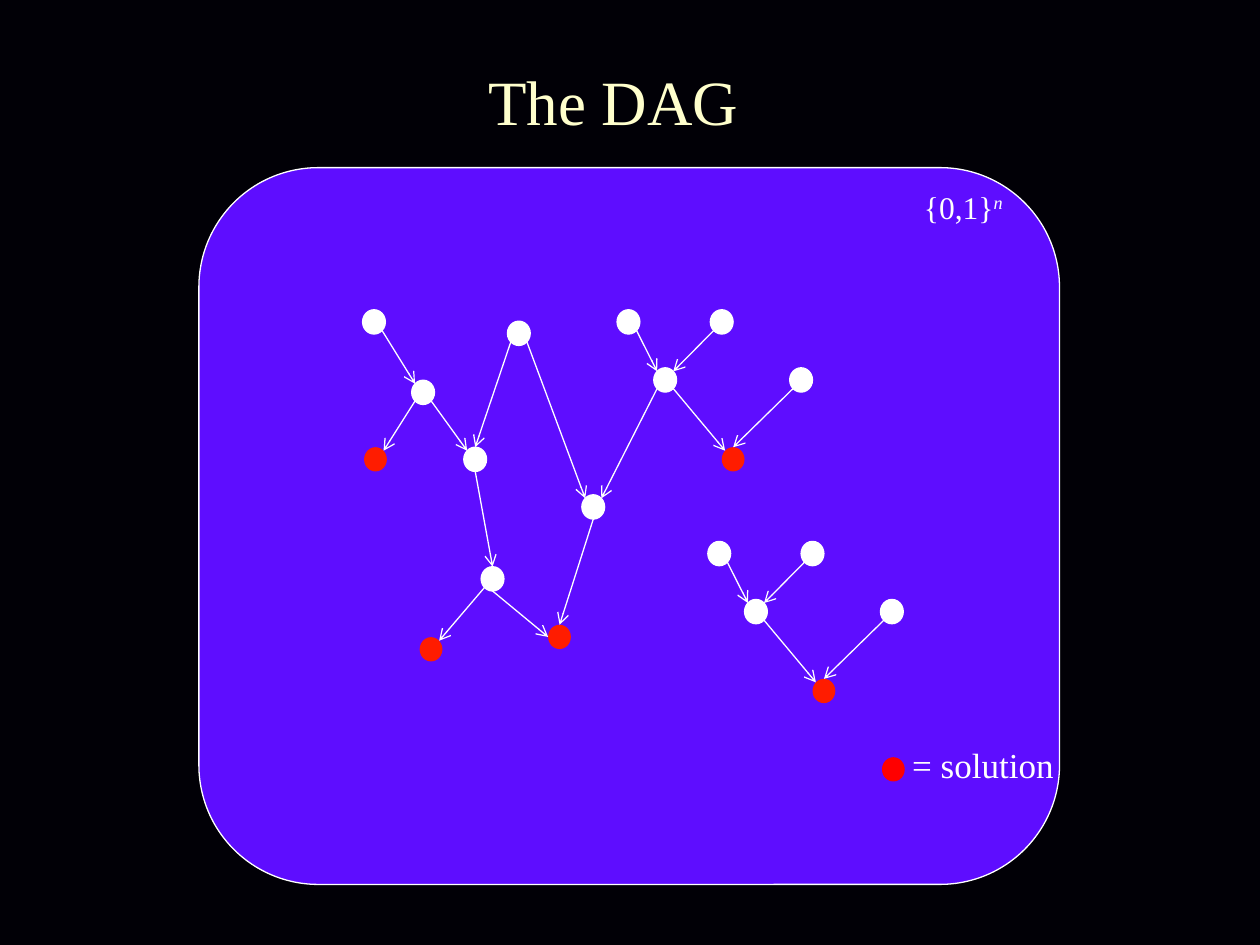
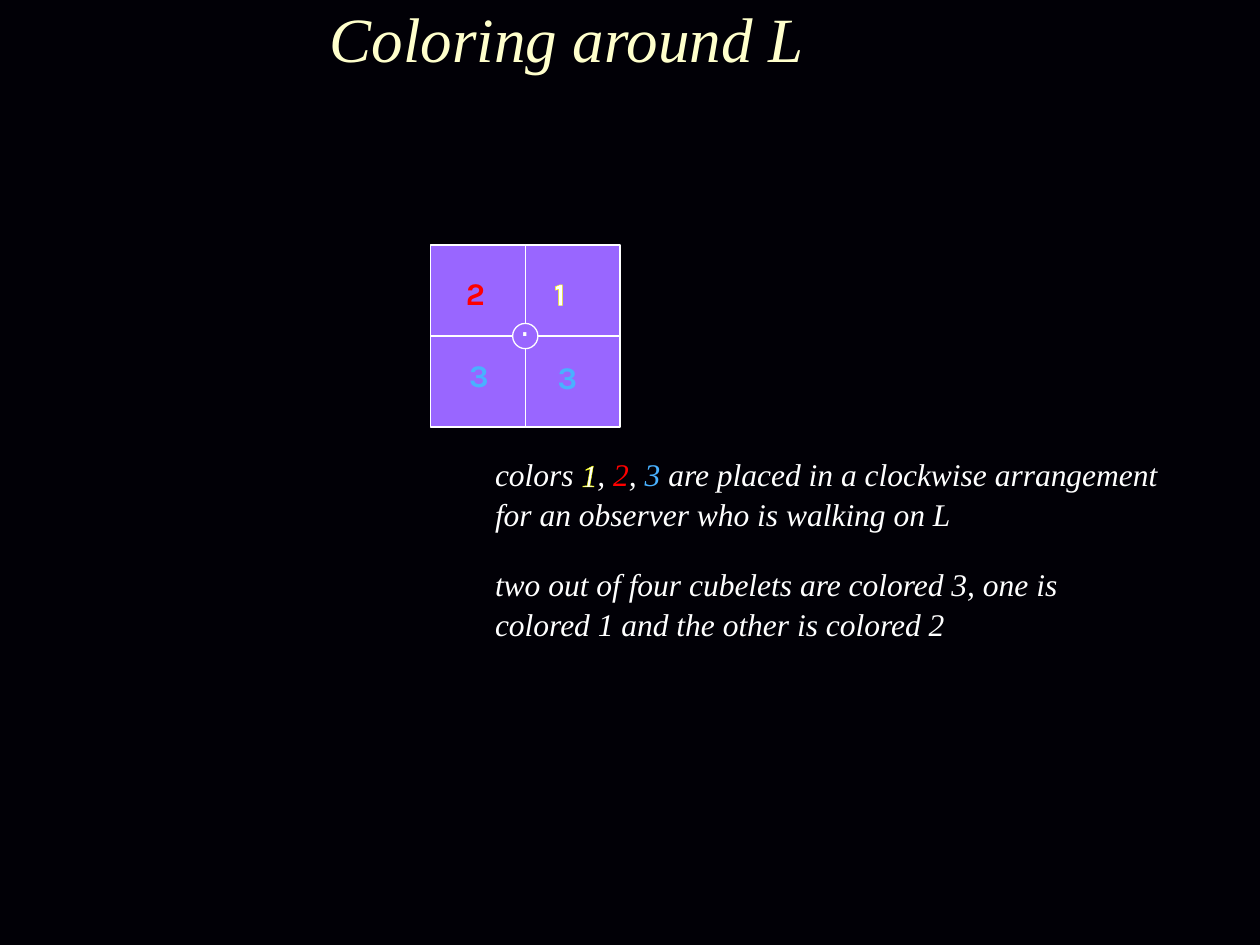
from lxml.etree import SubElement
from pptx import Presentation
from pptx.dml.color import RGBColor
from pptx.enum.shapes import MSO_CONNECTOR, MSO_SHAPE
from pptx.enum.text import MSO_ANCHOR, MSO_AUTO_SIZE, PP_ALIGN
from pptx.oxml import parse_xml
from pptx.oxml.ns import nsdecls, qn
from pptx.util import Cm, Pt

SERIF, SANS = "Times New Roman", "Karla"
BACKGROUND, CREAM, WHITE = "010006", "FFFFCC", "FFFFFF"
PANEL, SOLUTION, LEGEND_RED = "5E0DFF", "FF1C00", "FF0000"
CUBELET, RED, BLUE, GLOW = "9966FF", "FF0000", "49B1FF", "F9FF00"

NODE_W, NODE_H = 0.46, 0.49
DIAGONAL = 0.707
SITES = {"N": (0, -1), "S": (0, 1), "W": (-1, 0),
         "NW": (-DIAGONAL, -DIAGONAL), "NE": (DIAGONAL, -DIAGONAL),
         "SW": (-DIAGONAL, DIAGONAL), "SE": (DIAGONAL, DIAGONAL)}

# Node centres in cm from the origin of each graph; edges join named sites.
MAIN_NODES = {"a": (3.53, 3.11), "b": (4.52, 4.53), "c": (5.57, 5.88),
              "d": (6.45, 3.34), "e": (3.56, 5.88), "j": (7.95, 6.84),
              "l": (7.27, 9.46), "m": (4.68, 9.71), "o": (5.92, 8.29)}
MAIN_EDGES = ["a SE b NW", "b SW e NE", "b SE c NW", "d SW c N", "d SE j NW",
              "c S o N", "o SW m NE", "o S l W", "j S l N", "h SW j NE"]
TREE_NODES = {"f": (0, 0), "g": (1.88, 0), "h": (0.74, 1.17),
              "i": (3.48, 1.17), "k": (2.11, 2.77)}
TREE_EDGES = ["f SE h NW", "g SW h NE", "h SE k NW", "i SW k N"]
SOLUTIONS = "eklm"


def rgb(color):
    return RGBColor.from_string(color)


def set_font(font, size, color, name=SERIF, bold=False, italic=False):
    font.name, font.size = name, Pt(size)
    font.bold, font.italic = bold, italic
    font.color.rgb = rgb(color)


def outline_text(r, color):
    ln = parse_xml(f'<a:ln {nsdecls("a")} w="9525"><a:solidFill>'
                   f'<a:srgbClr val="{color}"/></a:solidFill></a:ln>')
    r._r.get_or_add_rPr().insert(0, ln)


def add_box(shapes, kind, x, y, w, h, fill, line=WHITE):
    sp = shapes.add_shape(kind, Cm(x), Cm(y), Cm(w), Cm(h))
    sp.shadow.inherit = False
    sp.fill.solid()
    sp.fill.fore_color.rgb = rgb(fill)
    if line:
        sp.line.color.rgb = rgb(line)
        sp.line.width = Pt(0.75)
    else:
        sp.line.fill.background()
    return sp


def add_text(shapes, x, y, w, h, parts, size=18, color=WHITE, wrap=True, **style):
    """Add one paragraph made of the given strings and return it."""
    tf = shapes.add_textbox(Cm(x), Cm(y), Cm(w), Cm(h)).text_frame
    tf.word_wrap = wrap
    tf.auto_size = MSO_AUTO_SIZE.SHAPE_TO_FIT_TEXT
    p = tf.paragraphs[0]
    for part in parts:
        p.add_run().text = part
    set_font(p.font, size, color, **style)
    return p


def add_titled_slide(prs, title, x, y, w, italic=False):
    s = prs.slides.add_slide(prs.slide_layouts.get_by_name("Title Only"))
    sp = s.shapes.title
    sp.left, sp.top, sp.width, sp.height = Cm(x), Cm(y), Cm(w), Cm(3.18)
    tf = sp.text_frame
    tf.text = title
    tf.auto_size = MSO_AUTO_SIZE.NONE
    tf.vertical_anchor = MSO_ANCHOR.MIDDLE
    p = tf.paragraphs[0]
    p.alignment = PP_ALIGN.CENTER
    set_font(p.font, 36, CREAM, italic=italic)
    return s


def add_node(shapes, cx, cy, fill, line=None):
    add_box(shapes, MSO_SHAPE.OVAL, cx - NODE_W / 2, cy - NODE_H / 2,
            NODE_W, NODE_H, fill, line)


def add_arrow(shapes, start, end):
    cxn = shapes.add_connector(MSO_CONNECTOR.STRAIGHT,
                               *(Cm(v) for v in (*start, *end)))
    cxn.line.color.rgb = rgb(WHITE)
    cxn.line.width = Pt(0.75)
    SubElement(cxn.line._get_or_add_ln(), qn("a:tailEnd"), type="arrow")
    SubElement(cxn._element.spPr, qn("a:effectLst"))


def site(center, direction):
    dx, dy = SITES[direction]
    return center[0] + dx * NODE_W / 2, center[1] + dy * NODE_H / 2


def shifted(nodes, x, y):
    return {name: (x + cx, y + cy) for name, (cx, cy) in nodes.items()}


def add_graph(shapes, nodes, edges):
    for name, (cx, cy) in nodes.items():
        if name in SOLUTIONS:
            add_node(shapes, cx, cy, SOLUTION)
        else:
            add_node(shapes, cx, cy, WHITE, WHITE)
    for edge in edges:
        tail, leave, head, enter = edge.split()
        add_arrow(shapes, site(nodes[tail], leave), site(nodes[head], enter))


def add_dag_panel(s, x, y, w, h):
    shapes = s.shapes.add_group_shape().shapes
    add_box(shapes, MSO_SHAPE.ROUNDED_RECTANGLE, x, y, w, h, PANEL)
    p = add_text(shapes, x + 12.4, y + 0.28, 6.02, 1.02, ["{0,1}", "n"])
    p.alignment = PP_ALIGN.CENTER
    exponent = p.runs[1]
    exponent.font.italic = True
    exponent._r.get_or_add_rPr().set("baseline", "30000")

    upper_tree = shifted(TREE_NODES, x + 8.66, y + 3.11)
    lower_tree = shifted(TREE_NODES, x + 10.49, y + 7.78)
    add_graph(shapes, shifted(MAIN_NODES, x, y) | upper_tree,
              MAIN_EDGES + TREE_EDGES)
    add_graph(shapes, lower_tree, TREE_EDGES)


def add_legend(s, x, y):
    shapes = s.shapes.add_group_shape().shapes
    add_node(shapes, x + NODE_W / 2, y + 0.65, LEGEND_RED)
    add_text(shapes, x + 0.36, y, 3.38, 1.12, ["= solution"], size=20, wrap=False)


def add_cubelets(s, x, y, w, h):
    """Draw a two by two block of cubelets seen along the line L."""
    for row in range(2):
        for col in range(2):
            add_box(s.shapes, MSO_SHAPE.RECTANGLE, x + col * w / 2,
                    y + row * h / 2, w / 2, h / 2, CUBELET)
    d = 0.51
    add_box(s.shapes, MSO_SHAPE.OVAL, x + (w - d) / 2, y + (h - d) / 2,
            d, d, CUBELET)
    labels = [("2", 0.46, 0.46, RED), ("1", 2.24, 0.46, WHITE),
              ("3", 0.53, 2.11, BLUE), ("3", 2.31, 2.16, BLUE)]
    for label, dx, dy, color in labels:
        p = add_text(s.shapes, x + dx, y + dy, 1.45, 1.02, [label],
                     color=color, name=SANS, bold=True)
        if label == "1":
            outline_text(p.runs[0], GLOW)
    add_text(s.shapes, x + 1.55, y + 1.27, 0.69, 1.02, ["⋅"],
             name=SANS, wrap=False)


def add_remarks(s, x, y, w):
    remarks = [
        ["colors ", "1", ", ", "2", ", ", "3",
         " are placed in a clockwise arrangement for an observer"
         " who is walking on L"],
        ["two out of four cubelets are colored 3, one is colored 1"
         " and the other is colored 2"],
    ]
    for i, parts in enumerate(remarks):
        p = add_text(s.shapes, x, y + i * 2.21, w, 1.8, parts, italic=True)
        p.line_spacing = 1.05
        for r in p.runs:
            if r.text == "1":
                outline_text(r, GLOW)
            elif r.text in ("2", "3"):
                r.font.color.rgb = rgb(RED if r.text == "2" else BLUE)


def build_dag_slide(prs):
    s = add_titled_slide(prs, "The DAG", 0.2, 0.43, 24.33)
    add_dag_panel(s, 4.01, 3.38, 17.35, 14.45)
    add_legend(s, 17.78, 14.86)


def build_coloring_slide(prs):
    s = add_titled_slide(prs, "Coloring around L", 0.2, -0.84, 22.45, italic=True)
    add_cubelets(s, 8.68, 4.94, 3.82, 3.67)
    add_remarks(s, 9.73, 9.02, 13.87)


def main():
    prs = Presentation()
    prs.slide_width, prs.slide_height = Cm(25.4), Cm(19.05)
    fill = prs.slide_master.background.fill
    fill.solid()
    fill.fore_color.rgb = rgb(BACKGROUND)
    build_dag_slide(prs)
    build_coloring_slide(prs)
    prs.save("out.pptx")


if __name__ == "__main__":
    main()
